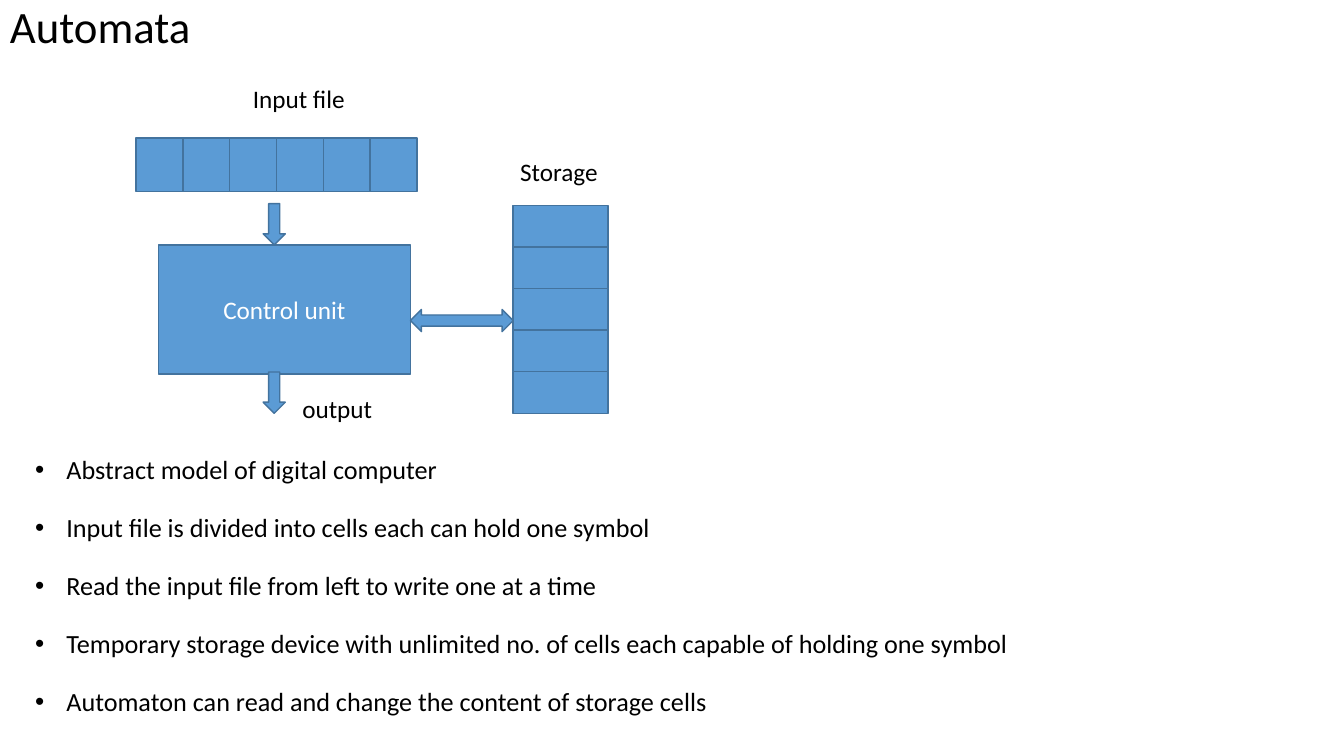
from lxml.etree import SubElement
from pptx import Presentation
from pptx.dml.color import RGBColor
from pptx.enum.shapes import MSO_SHAPE as Shape
from pptx.enum.text import MSO_ANCHOR as Anchor, PP_ALIGN as Align
from pptx.oxml.ns import qn
from pptx.util import Inches, Pt

BLUE, EDGE, BLACK, WHITE = "5B9BD5", "43739E", "000000", "FFFFFF"
FONT = "Calibri"
POINTS = [
    "Abstract model of digital computer",
    "Input file is divided into cells each can hold one symbol",
    "Read the input file from left to write one at a time",
    "Temporary storage device with unlimited no. of cells each capable of holding one symbol",
    "Automaton can read and change the content of storage cells",
]


def color(hex_value):
    return RGBColor.from_string(hex_value)


def write(frame, text, size=18, ink=BLACK, align=Align.LEFT, anchor=Anchor.TOP,
          spacing=None, before=None, bullet_indent=None):
    """Fill a text frame, one paragraph per line of text."""
    frame.word_wrap = True
    frame.vertical_anchor = anchor
    for number, line in enumerate(text.split("\n")):
        paragraph = frame.add_paragraph() if number else frame.paragraphs[0]
        paragraph.alignment = align
        if spacing:
            paragraph.line_spacing = spacing
        if before:
            paragraph.space_before = Pt(before)
        if bullet_indent:
            properties = paragraph._p.get_or_add_pPr()
            properties.set("marL", str(Inches(bullet_indent)))
            properties.set("indent", str(-Inches(bullet_indent)))
            SubElement(properties, qn("a:buFont")).set("typeface", "Arial")
            SubElement(properties, qn("a:buChar")).set("char", "•")
        run = paragraph.add_run()
        run.text = line
        run.font.name = FONT
        run.font.size = Pt(size)
        run.font.color.rgb = color(ink)


def label(slide, box, text, **style):
    write(slide.shapes.add_textbox(*map(Inches, box)).text_frame, text, **style)


def block(slide, kind, box):
    part = slide.shapes.add_shape(kind, *map(Inches, box))
    part.shadow.inherit = False
    part.fill.solid()
    part.fill.fore_color.rgb = color(BLUE)
    part.line.color.rgb = color(EDGE)
    part.line.width = Pt(1)
    return part


def cells(slide, box, columns=1, rows=1):
    """Divide the box into equal cells."""
    left, top, width, height = box
    cell_width, cell_height = width / columns, height / rows
    for row in range(rows):
        for column in range(columns):
            block(slide, Shape.RECTANGLE, (left + column * cell_width, top + row * cell_height,
                                           cell_width, cell_height))


def automaton(slide, box):
    """Input file above the control unit, storage at its right, output below."""
    left, top, width, height = box
    bottom = top + height
    arrow_width, arrow_length = 0.22, 0.41

    # Input file
    input_width = 0.595 * width
    label(slide, (left + 1.06, top, 1.37, 0.4), "Input file")
    cells(slide, (left, top + 0.59, input_width, 0.53), columns=6)

    # Control unit with its input and output arrows
    unit_left, unit_top, unit_width, unit_height = left + 0.22, top + 1.65, 2.5, 1.28
    unit_right = unit_left + unit_width
    arrow_left = unit_left + (unit_width - arrow_width) / 2 - 0.1
    block(slide, Shape.DOWN_ARROW,
          (arrow_left, unit_top - arrow_length, arrow_width, arrow_length))
    unit = block(slide, Shape.RECTANGLE, (unit_left, unit_top, unit_width, unit_height))
    write(unit.text_frame, "Control unit", ink=WHITE, align=Align.CENTER, anchor=Anchor.MIDDLE)
    block(slide, Shape.DOWN_ARROW,
          (arrow_left, bottom - arrow_length, arrow_width, arrow_length))
    label(slide, (left + 1.55, bottom - 0.25, 1.38, 0.4), "output")

    # Storage
    storage_width, storage_height = 0.94, 2.06
    storage_left, storage_top = left + width - storage_width, bottom - storage_height
    label(slide, (storage_left - 0.03, storage_top - 0.54, 1.11, 0.4), "Storage")
    cells(slide, (storage_left, storage_top, storage_width, storage_height), rows=5)
    block(slide, Shape.LEFT_RIGHT_ARROW,
          (unit_right, storage_top + storage_height / 2, storage_left - unit_right, arrow_width))


def main():
    deck = Presentation()
    deck.slide_width, deck.slide_height = Inches(13.33), Inches(7.5)
    slide = deck.slides.add_slide(deck.slide_layouts[6])
    # Title
    label(slide, (0, 0, 11.5, 0.57), "Automata", size=32, anchor=Anchor.MIDDLE, spacing=0.9)
    # Diagram
    automaton(slide, (1.35, 0.78, 4.68, 3.32))
    # Explanation
    label(slide, (0.25, 4.15, 12.71, 3.01), "\n".join(POINTS), size=18.7, align=Align.JUSTIFY,
          anchor=Anchor.BOTTOM, spacing=1.4, before=10, bullet_indent=0.31)
    deck.save("out.pptx")


if __name__ == "__main__":
    main()
